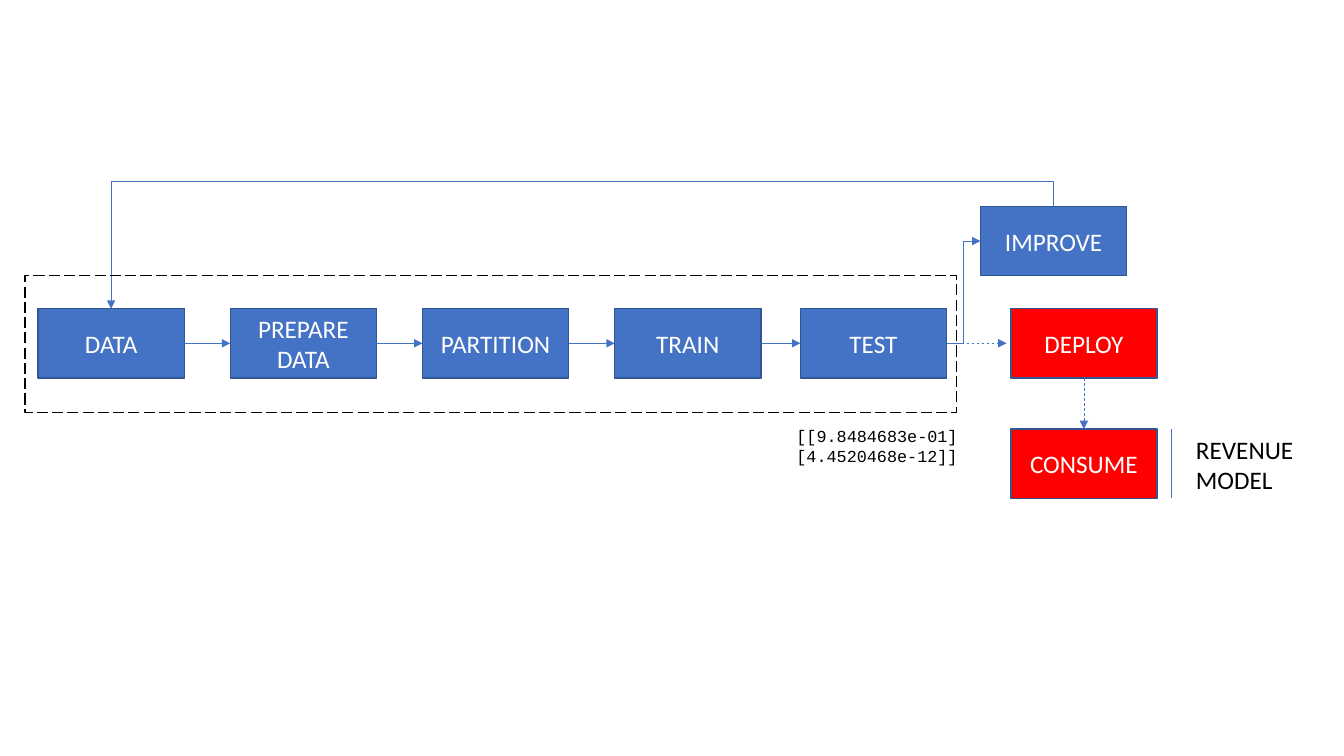
import pptx
import pptx.util
import pptx.dml.color
import pptx.enum.dml
import pptx.enum.shapes
import pptx.enum.text
import pptx.oxml.ns
import lxml.etree

Pt = pptx.util.Pt
DASH = pptx.enum.dml.MSO_LINE
LINK = pptx.enum.shapes.MSO_CONNECTOR
RECTANGLE = pptx.enum.shapes.MSO_SHAPE.RECTANGLE
ALIGN = pptx.enum.text.PP_ALIGN
ANCHOR = pptx.enum.text.MSO_ANCHOR

COLORS = {"step": "4472C4", "outline": "325491", "release": "FF0000",
          "white": "FFFFFF", "black": "000000"}
BOX_W, BOX_H = 104.4, 49.4
ROW_TOP, CONSUME_TOP = 220.5, 306.5
FIRST_LEFT, STEP = 27.2, 137.3
RELEASE_LEFT = 722

PIPELINE = ["DATA", "PREPARE DATA", "PARTITION", "TRAIN"]
# name: (left, top, fill)
STAGES = {name: (FIRST_LEFT + i * STEP, ROW_TOP, "step")
          for i, name in enumerate(PIPELINE)}
STAGES.update({
    "TEST": (571.7, ROW_TOP, "step"),
    "IMPROVE": (700.4, 147.5, "step"),
    "DEPLOY": (RELEASE_LEFT, ROW_TOP, "release"),
    "CONSUME": (RELEASE_LEFT, CONSUME_TOP, "release"),
})
FRAME = (18, 196.7, 665.3, 98)
FEEDBACK_RISE = 18
DEPLOY_GAP = 3
# text, (left, top, width, height), font, size
NOTES = [
    ("REVENUE MODEL", (847.2, 306.6, 88.6, 50.9), "Calibri", 18),
    ("[[9.8484683e-01] [4.4520468e-12]]", (561.8, 300.5, 198.7, 36), "Courier New", 12),
]
SITES = {"top": 0, "left": 1, "bottom": 2, "right": 3}


def rgb(name):
    """Return the named colour."""
    return pptx.dml.color.RGBColor.from_string(COLORS[name])


def write(shape, text, color="black", font="Calibri", size=18,
          align=ALIGN.LEFT, anchor=ANCHOR.TOP):
    """Put formatted text into a shape."""
    frame = shape.text_frame
    frame.word_wrap = True
    frame.vertical_anchor = anchor
    paragraph = frame.paragraphs[0]
    paragraph.alignment = align
    run = paragraph.add_run()
    run.text = text
    run.font.name, run.font.size = font, Pt(size)
    run.font.color.rgb = rgb(color)


def add_box(area, outline, fill=None, dash=None):
    """Draw a rectangle with a one-point outline."""
    box = slide.shapes.add_shape(RECTANGLE, *map(Pt, area))
    box.shadow.inherit = False
    if fill:
        box.fill.solid()
        box.fill.fore_color.rgb = rgb(fill)
    else:
        box.fill.background()
    box.line.color.rgb = rgb(outline)
    box.line.width = Pt(1)
    if dash:
        box.line.dash_style = dash
    return box


def add_line(begin, end, kind=LINK.STRAIGHT, dash=None, head=True):
    """Draw a thin line between two points, with an arrowhead if wanted."""
    line = slide.shapes.add_connector(kind, *map(Pt, begin + end))
    line.line.color.rgb = rgb("step")
    line.line.width = Pt(0.5)
    if dash:
        line.line.dash_style = dash
    if head:
        lxml.etree.SubElement(line.line._get_or_add_ln(),
                              pptx.oxml.ns.qn("a:tailEnd"), type="triangle")
    lxml.etree.SubElement(line._element.spPr, pptx.oxml.ns.qn("a:effectLst"))
    return line


def site(name, side):
    """Return the middle of one side of a stage, in points."""
    left, top, _ = STAGES[name]
    return {"top": (left + BOX_W / 2, top),
            "left": (left, top + BOX_H / 2),
            "bottom": (left + BOX_W / 2, top + BOX_H),
            "right": (left + BOX_W, top + BOX_H / 2)}[side]


def link(source, target, sides=("right", "left"), gap=0, **style):
    """Join two stages, stopping short of the target by the gap."""
    x, y = site(target, sides[1])
    line = add_line(site(source, sides[0]), (x - gap, y), **style)
    line.begin_connect(boxes[source], SITES[sides[0]])
    if not gap:
        line.end_connect(boxes[target], SITES[sides[1]])
    return line


def route_over(line, rise):
    """Turn an elbow so that it leaves upwards and comes down on its target."""
    across, down = line.width, line.height
    middle_x, middle_y = line.left + across // 2, line.top + down // 2
    line.left, line.top = middle_x - down // 2, middle_y - across // 2
    line.width, line.height = down, across
    xfrm = line._element.spPr.xfrm
    for key, value in (("rot", "16200000"), ("flipH", "1"), ("flipV", "1")):
        xfrm.set(key, value)
    guides = line._element.spPr.prstGeom.get_or_add_avLst()
    lxml.etree.SubElement(guides, pptx.oxml.ns.qn("a:gd"), name="adj1",
                          fmla=f"val {round(-100000 * Pt(rise) / down)}")


deck = pptx.Presentation()
deck.slide_width, deck.slide_height = Pt(960), Pt(540)
slide = deck.slides.add_slide(deck.slide_layouts[6])

boxes = {}
for stage, (left, top, fill) in STAGES.items():
    boxes[stage] = add_box((left, top, BOX_W, BOX_H), "outline", fill)
    write(boxes[stage], stage, color="white", align=ALIGN.CENTER, anchor=ANCHOR.MIDDLE)

for source, target in zip(PIPELINE, PIPELINE[1:] + ["TEST"]):
    link(source, target)
link("TEST", "IMPROVE", kind=LINK.ELBOW)
feedback = link("IMPROVE", "DATA", ("top", "top"), kind=LINK.ELBOW)
route_over(feedback, FEEDBACK_RISE)
link("TEST", "DEPLOY", gap=DEPLOY_GAP, dash=DASH.DASH)
link("DEPLOY", "CONSUME", ("bottom", "top"), dash=DASH.DASH)

add_box(FRAME, "black", dash=DASH.LONG_DASH)
divider_x = RELEASE_LEFT + BOX_W + 10
add_line((divider_x, CONSUME_TOP), (divider_x, CONSUME_TOP + BOX_H), head=False)

for text, area, font, size in NOTES:
    write(slide.shapes.add_textbox(*map(Pt, area)), text, font=font, size=size)

deck.save("out.pptx")
